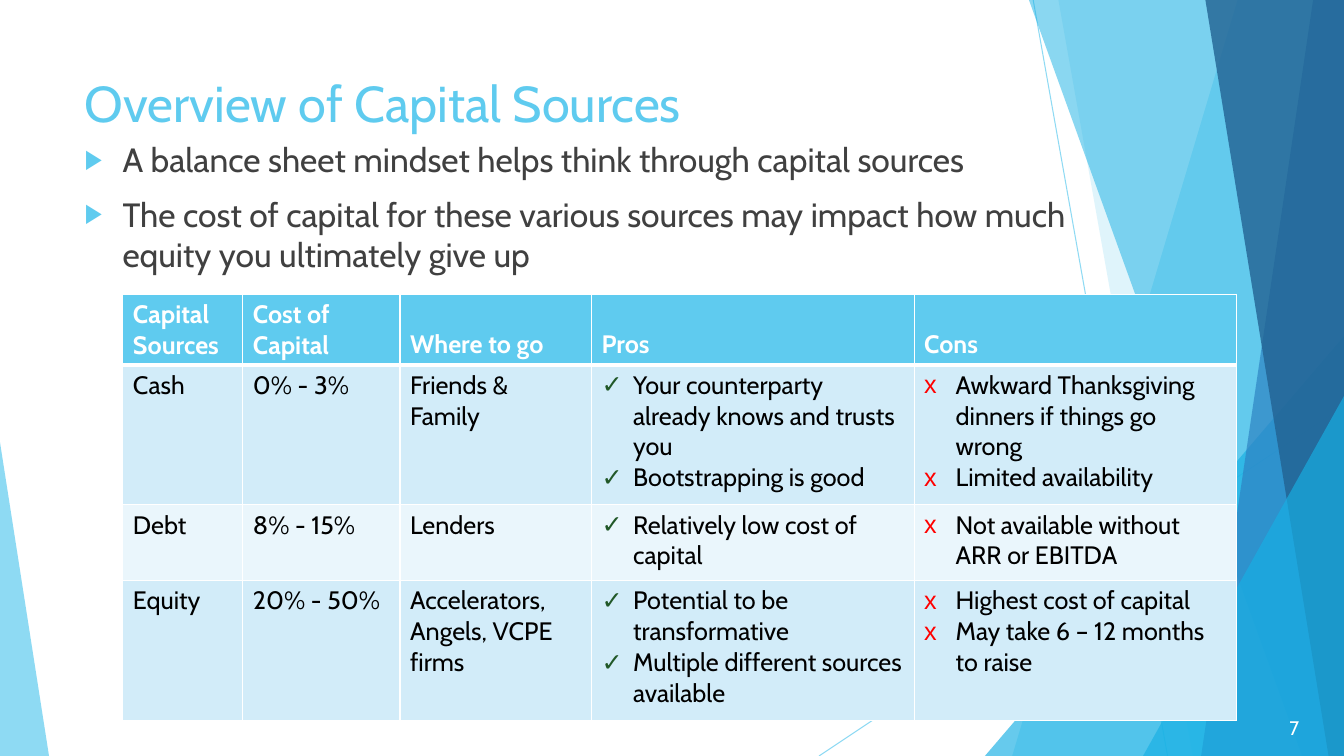
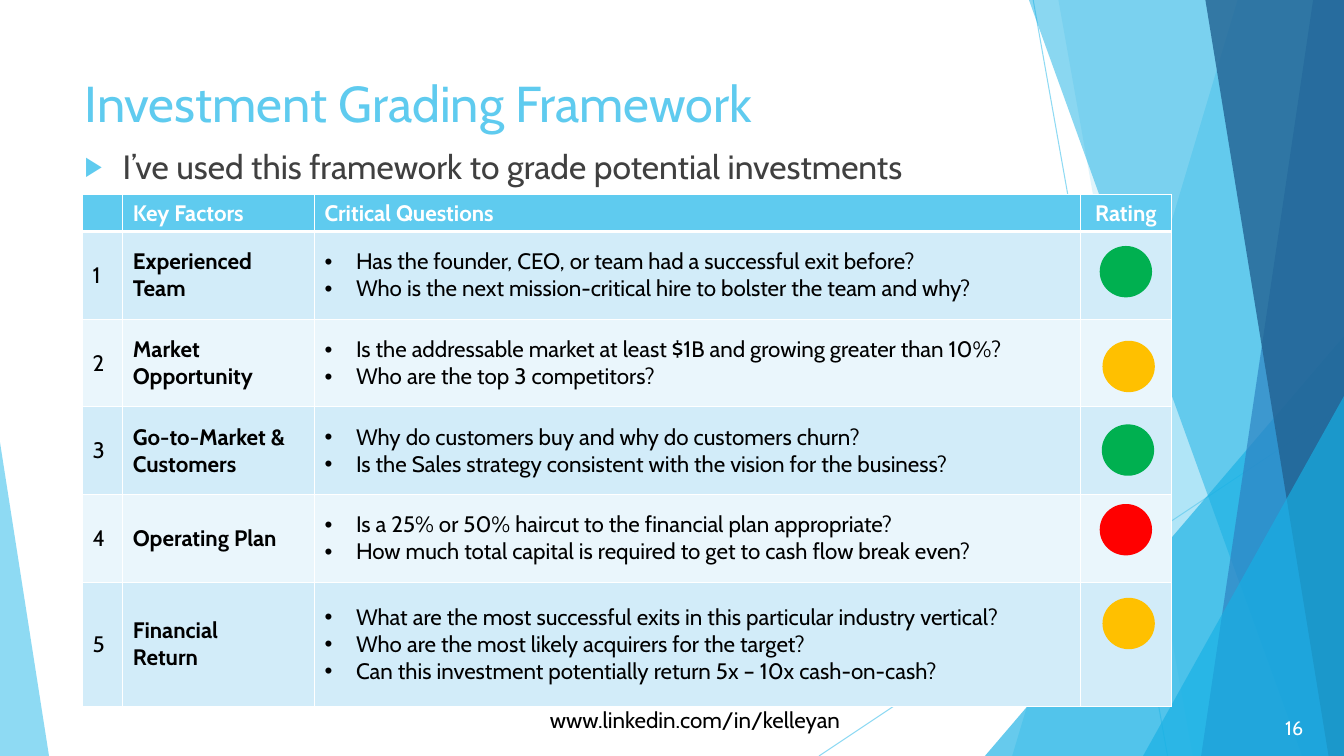
import dataclasses

import pptx
import pptx.dml.color
import pptx.enum.shapes
import pptx.enum.text
import pptx.oxml.ns
import pptx.util
from lxml import etree

Pt = pptx.util.Pt
qn = pptx.oxml.ns.qn
ALIGN = pptx.enum.text.PP_ALIGN
ANCHOR = pptx.enum.text.MSO_ANCHOR
SHAPE = pptx.enum.shapes.MSO_SHAPE


@dataclasses.dataclass(frozen=True)
class Theme:
    font: str = "Cabin"
    sky: str = "5FCBEF"
    cyan: str = "17B0E4"
    blue: str = "2E83C3"
    navy: str = "226292"
    white: str = "FFFFFF"
    black: str = "000000"
    body: str = "404040"
    row_tints: tuple = ("D2ECF9", "EAF6FC")
    pro: str = "215828"
    con: str = "FF0000"
    green: str = "00B050"
    amber: str = "FFC000"
    red: str = "FF0000"
    title_size: int = 36
    body_size: int = 24
    table_size: int = 18
    small_size: int = 16
    number_size: int = 14


@dataclasses.dataclass(frozen=True)
class Bullet:
    char: str
    color: str
    indent: float = 22.5
    percent: int = 100


T = Theme()
WIDTH, HEIGHT = 960, 540
ARROW = Bullet("▶", T.sky, 27, 80)
CHECK = Bullet("✓", T.pro)
CROSS = Bullet("х", T.con)
DOT = Bullet("•", T.black)


def rgb(color):
    return pptx.dml.color.RGBColor.from_string(color)


def add_xml(parent, tag, **attrs):
    return etree.SubElement(parent, qn(tag), attrs)


def add_bullet(p, bullet):
    pPr = p._p.get_or_add_pPr()
    pPr.set("marL", str(Pt(bullet.indent)))
    pPr.set("indent", str(-Pt(bullet.indent)))
    add_xml(add_xml(pPr, "a:buClr"), "a:srgbClr", val=bullet.color)
    add_xml(pPr, "a:buSzPct", val=str(bullet.percent * 1000))
    add_xml(pPr, "a:buFont", typeface="Arial")
    add_xml(pPr, "a:buChar", char=bullet.char)


def write(tf, text, size=T.table_size, color=T.black, bold=False,
          align=ALIGN.LEFT, bullet=None, gap=0):
    lines = [text] if isinstance(text, str) else text
    for i, line in enumerate(lines):
        p = tf.add_paragraph() if i else tf.paragraphs[0]
        if bullet:
            add_bullet(p, bullet)
        p.alignment = align
        p.space_before = Pt(gap if i else 0)
        if not line:
            add_xml(p._p, "a:endParaRPr", sz=str(size * 100))
            continue
        r = p.add_run()
        r.text = line
        r.font.name = T.font
        r.font.size = Pt(size)
        r.font.bold = bold
        r.font.color.rgb = rgb(color)


def place(sp, left, top, width, height):
    sp.left, sp.top, sp.width, sp.height = map(Pt, (left, top, width, height))


def fill_placeholder(sp, box, text, **fmt):
    place(sp, *box)
    tf = sp.text_frame
    tf.word_wrap = True
    tf.auto_size = pptx.enum.text.MSO_AUTO_SIZE.NONE
    tf.vertical_anchor = ANCHOR.TOP
    write(tf, text, **fmt)


def add_label(s, box, text, anchor=ANCHOR.TOP, **fmt):
    tf = s.shapes.add_textbox(*map(Pt, box)).text_frame
    tf.word_wrap = True
    tf.vertical_anchor = anchor
    write(tf, text, align=ALIGN.CENTER, **fmt)


def set_opacity(sp, percent):
    for clr in sp.element.iter(qn("a:srgbClr")):
        add_xml(clr, "a:alpha", val=str(percent * 1000))


def paint(sp, color, opacity=100):
    sp.shadow.inherit = False
    sp.fill.solid()
    sp.fill.fore_color.rgb = rgb(color)
    sp.line.fill.background()
    if opacity < 100:
        set_opacity(sp, opacity)
    return sp


def add_ray(s, *ends):
    sp = s.shapes.add_connector(
        pptx.enum.shapes.MSO_CONNECTOR.STRAIGHT, *map(Pt, ends))
    sp.line.color.rgb = rgb(T.sky)
    sp.line.width = Pt(0.75)
    add_xml(sp.element.spPr, "a:effectLst")
    set_opacity(sp, 70)
    return sp


def add_band(s, top_left, bottom_left, color, opacity):
    fb = s.shapes.build_freeform(Pt(top_left), 0)
    corners = [(WIDTH, 0), (WIDTH, HEIGHT), (bottom_left, HEIGHT)]
    fb.add_line_segments([(Pt(x), Pt(y)) for x, y in corners], close=True)
    return paint(fb.convert_to_shape(), color, opacity)


def add_wedge(s, left, top, width, apex, color, opacity):
    sp = s.shapes.add_shape(SHAPE.ISOSCELES_TRIANGLE, Pt(left), Pt(top),
                            Pt(width), Pt(HEIGHT - top))
    sp.adjustments[0] = apex
    return paint(sp, color, opacity)


def move_backdrop_to_layout(s, layout):
    backdrop = [
        add_ray(s, 738, 0, 834, HEIGHT),
        add_ray(s, WIDTH, 290, 585, HEIGHT),
        add_band(s, 884, 723, T.sky, 36),
        add_band(s, 756, 852, T.sky, 20),
        add_wedge(s, 703.5, 240, 256.5, 1, T.cyan, 66),
        add_band(s, 735, 930, T.cyan, 50),
        add_band(s, 938, 858, T.blue, 70),
        add_band(s, 861, 949, T.navy, 80),
        add_wedge(s, 816.5, 283, 143.5, 1, T.cyan, 66),
        add_wedge(s, 0, 316, 35, 0, T.sky, 70),
    ]
    tree = layout.shapes.element
    for sp in list(layout.placeholders)[2:]:
        tree.remove(sp.element)
    for i, sp in enumerate(backdrop):
        tree.insert(2 + i, sp.element)


def set_borders(cell, **widths):
    tcPr = cell._tc.get_or_add_tcPr()
    for side in "LRTB":
        ln = add_xml(tcPr, f"a:ln{side}", w=str(Pt(widths.get(side, 1))))
        add_xml(add_xml(ln, "a:solidFill"), "a:srgbClr", val=T.white)


def add_grid(s, left, top, widths, heights, rows, size,
             anchor=ANCHOR.TOP, bullets={}, bold=(), centered=()):
    tbl = s.shapes.add_table(len(rows), len(widths), Pt(left), Pt(top),
                             Pt(sum(widths)), Pt(sum(heights))).table
    for col, width in zip(tbl.columns, widths):
        col.width = Pt(width)
    for row, height in zip(tbl.rows, heights):
        row.height = Pt(height)
    for i, row in enumerate(rows):
        header = i == 0
        for j, text in enumerate(row):
            cell = tbl.cell(i, j)
            set_borders(cell, T=3 if i == 1 else 1, B=3 if header else 1)
            cell.fill.solid()
            cell.fill.fore_color.rgb = rgb(
                T.sky if header else T.row_tints[(i - 1) % 2])
            cell.vertical_anchor = ANCHOR.BOTTOM if header else anchor
            write(cell.text_frame, text, size=size,
                  color=T.white if header else T.black,
                  bold=header or j in bold,
                  align=ALIGN.CENTER if j in centered else ALIGN.LEFT,
                  bullet=None if header or not text else bullets.get(j))


def add_page(s, title, number, body_box, points):
    fill_placeholder(s.shapes.title, (53.3, 48.2, 677, 104), title,
                     size=T.title_size, color=T.sky)
    add_label(s, (895, 505.5, 59, 29), number, anchor=ANCHOR.MIDDLE,
              size=T.number_size, color=T.white)
    fill_placeholder(s.placeholders[1], body_box, points, size=T.body_size,
                     color=T.body, bullet=ARROW, gap=10)


def build_sources(s):
    add_page(s, "Overview of Capital Sources", "7", (53.3, 95.8, 737.3, 118), [
        "A balance sheet mindset helps think through capital sources",
        "The cost of capital for these various sources may impact how much "
        "equity you ultimately give up"])
    rows = [
        ["Capital Sources", "Cost of Capital", "Where to go", "Pros", "Cons"],
        ["Cash", "0% - 3%", "Friends & Family",
         ["Your counterparty already knows and trusts you",
          "Bootstrapping is good"],
         ["Awkward Thanksgiving dinners if things go wrong",
          "Limited availability"]],
        ["Debt", "8% - 15%", "Lenders", ["Relatively low cost of capital"],
         ["Not available without ARR or EBITDA"]],
        ["Equity", "20% - 50%", "Accelerators, Angels, VCPE firms",
         ["Potential to be transformative",
          "Multiple different sources available"],
         ["Highest cost of capital", "May take 6 – 12 months to raise"]],
    ]
    add_grid(s, 87.8, 210.2, [85.7, 112.3, 136.8, 230.4, 230.4],
             [47.5, 100, 54, 100], rows, T.table_size,
             bullets={3: CHECK, 4: CROSS})


def build_grading(s):
    add_page(s, "Investment Grading Framework", "16", (53.3, 100.8, 831, 41),
             "I’ve used this framework to grade potential investments")
    factors = [
        ("Experienced Team",
         ["Has the founder, CEO, or team had a successful exit before?",
          "Who is the next mission-critical hire to bolster the team and why?"]),
        ("Market Opportunity",
         ["Is the addressable market at least $1B and growing greater than 10%?",
          "Who are the top 3 competitors?"]),
        ("Go-to-Market & Customers",
         ["Why do customers buy and why do customers churn?",
          "Is the Sales strategy consistent with the vision for the business?"]),
        ("Operating Plan",
         ["Is a 25% or 50% haircut to the financial plan appropriate?",
          "How much total capital is required to get to cash flow break even?"]),
        (["Financial", "Return"],
         ["What are the most successful exits in this particular industry vertical?",
          "Who are the most likely acquirers for the target?",
          "Can this investment potentially return 5x – 10x cash-on-cash?"]),
    ]
    rows = [["", "Key Factors", "Critical Questions", "Rating"]]
    rows += [[str(n), factor, questions, ""]
             for n, (factor, questions) in enumerate(factors, 1)]
    add_grid(s, 59, 139, [28.8, 136.8, 547.2, 64.8],
             [26] + [62.6] * 4 + [88.6], rows, T.small_size,
             anchor=ANCHOR.MIDDLE, bullets={2: DOT}, bold=(1,), centered=(3,))
    ratings = [(785.5, 175.7, T.green), (787.5, 243.4, T.amber),
               (787, 303.1, T.green), (785.5, 360, T.red),
               (787.5, 427, T.amber)]
    for left, top, color in ratings:
        paint(s.shapes.add_shape(SHAPE.OVAL, Pt(left), Pt(top),
                                 Pt(37.4), Pt(36.7)), color)
    add_label(s, (370, 501, 253, 26.6), "www.linkedin.com/in/kelleyan",
              size=T.small_size)


def main():
    prs = pptx.Presentation()
    prs.slide_width, prs.slide_height = Pt(WIDTH), Pt(HEIGHT)
    layout = prs.slide_layouts[1]
    sources, grading = [prs.slides.add_slide(layout) for _ in range(2)]
    move_backdrop_to_layout(sources, layout)
    build_sources(sources)
    build_grading(grading)
    prs.save("out.pptx")


if __name__ == "__main__":
    main()
